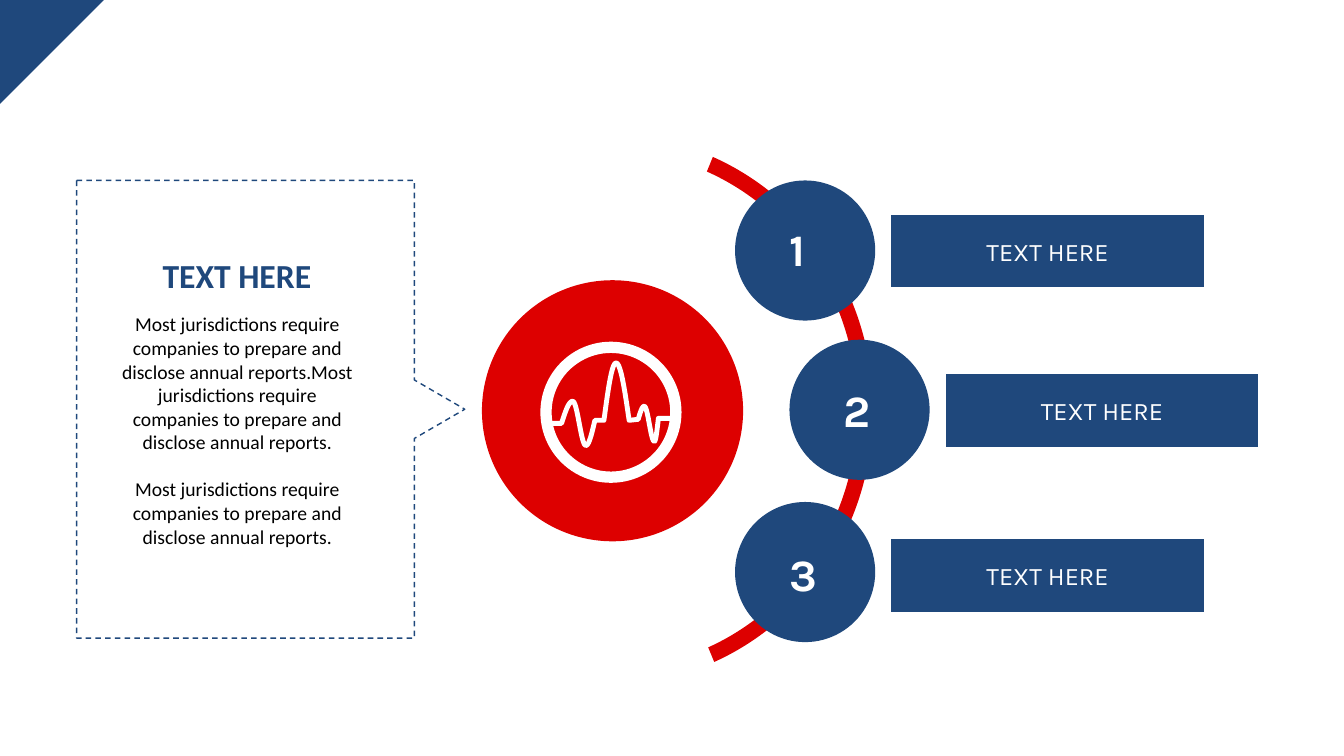
from math import cos, pi, sin

from lxml.etree import SubElement
from pptx import Presentation
from pptx.dml.color import RGBColor
from pptx.enum.dml import MSO_LINE
from pptx.enum.shapes import MSO_SHAPE as SHAPE
from pptx.enum.text import MSO_ANCHOR, MSO_AUTO_SIZE, PP_ALIGN
from pptx.oxml.ns import qn
from pptx.util import Inches, Pt

COLORS = {"blue": "1F487C", "red": "DD0000", "white": "FFFFFF", "black": "000000"}
SENTENCE = "Most jurisdictions require companies to prepare and disclose annual reports."
DISC = 1.39

# Each step: circle left, circle top, number top, label top
STEPS = [(7.29, 1.79, 2.15, 2.13), (7.83, 3.37, 3.75, 3.71), (7.29, 4.98, 5.37, 5.35)]

# Heartbeat: start point, then (x, y, easing) of each stroke's end
PULSE_START = (5.47, 4.2)
PULSE = [
    (5.57, 4.2, "flat"), (5.68, 3.98, "out"), (5.81, 4.42, "both"),
    (5.9, 4.17, "in"), (5.99, 4.17, "flat"), (6.11, 3.6, "out"),
    (6.24, 4.17, "in"), (6.33, 4.16, "flat"), (6.39, 4.03, "out"),
    (6.49, 4.38, "both"), (6.53, 4.15, "in"), (6.65, 4.15, "flat"),
]
EASING = {
    "flat": lambda t: t,
    "out": lambda t: sin(t * pi / 2),
    "in": lambda t: 1 - cos(t * pi / 2),
    "both": lambda t: (1 - cos(t * pi)) / 2,
}


def rgb(name):
    return RGBColor.from_string(COLORS[name])


def add_filled(slide, kind, box, color):
    sp = slide.shapes.add_shape(kind, *map(Inches, box))
    sp.shadow.inherit = False
    sp.fill.solid()
    sp.fill.fore_color.rgb = rgb(color)
    sp.line.fill.background()
    return sp


def add_outline(slide, points, color, width, close):
    points = [(Inches(x), Inches(y)) for x, y in points]
    builder = slide.shapes.build_freeform(*points[0])
    builder.add_line_segments(points[1:], close=close)
    sp = builder.convert_to_shape()
    sp.shadow.inherit = False
    sp.fill.background()
    sp.line.color.rgb = rgb(color)
    sp.line.width = Pt(width)
    return sp


def style(p, font, size, color, bold=False, align=PP_ALIGN.CENTER):
    p.alignment = align
    p.font.name, p.font.size, p.font.bold = font, Pt(size), bold
    p.font.color.rgb = rgb(color)


def add_text(slide, box, paragraphs, font, size, color, bold=False,
             align=PP_ALIGN.CENTER, wrap=True):
    tf = slide.shapes.add_textbox(*map(Inches, box)).text_frame
    tf.word_wrap = wrap
    tf.auto_size = MSO_AUTO_SIZE.SHAPE_TO_FIT_TEXT
    for i, text in enumerate(paragraphs):
        p = tf.paragraphs[0] if i == 0 else tf.add_paragraph()
        p.text = text
        style(p, font, size, color, bold, align)
        if i:
            p.space_before = Pt(17)


def add_callout(slide, left, top, width, height):
    """Dashed box with a pointer on its right side, and its text."""
    right, bottom, middle = left + width, top + height, top + height / 2
    points = [(left, top), (right, top), (right, middle - 0.29), (right + 0.5, middle),
              (right, middle + 0.29), (right, bottom), (left, bottom)]
    sp = add_outline(slide, points, "blue", 1, True)
    sp.line.dash_style = MSO_LINE.DASH
    add_text(slide, (left + 0.26, top + 1.26, 2.67, 2.46),
             [SENTENCE * 2, SENTENCE], "Calibri", 14, "black")
    add_text(slide, (left + 0.71, top + 0.69, 1.76, 0.5),
             ["TEXT HERE"], "Calibri", 24, "blue", True)


def add_hub(slide, left, top, size):
    """Red disc with a heartbeat icon, and the arc around it."""
    add_filled(slide, SHAPE.OVAL, (left, top, size, size), "red")
    arc = add_filled(slide, SHAPE.BLOCK_ARC,
                     (left - 1.34, top - 1.44, 5.22, 5.45), "red")
    for i, value in enumerate((175.28, 40.53, 0.03)):
        arc.adjustments[i] = value

    ring = add_filled(slide, SHAPE.DONUT, (left + 0.58, top + 0.61, 1.4, 1.4), "white")
    ring.adjustments[0] = 0.08
    points = [PULSE_START]
    for x, y, ease in PULSE:
        x0, y0 = points[-1]
        count = 1 if ease == "flat" else 10
        points += [(x0 + (x - x0) * k / count, y0 + (y - y0) * EASING[ease](k / count))
                   for k in range(1, count + 1)]
    pulse = add_outline(slide, points, "white", 3.5, False)
    SubElement(pulse.line._get_or_add_ln(), qn("a:round"))


def add_step(slide, number, left, top, number_top, label_top):
    """Numbered circle with its label bar."""
    add_filled(slide, SHAPE.OVAL, (left, top, DISC, DISC), "blue")
    add_text(slide, (left + 0.44, number_top, 0.49, 0.68), [str(number)],
             "Karla", 32, "white", True, PP_ALIGN.LEFT, False)
    bar = add_filled(slide, SHAPE.FLOWCHART_PROCESS,
                     (left + DISC + 0.16, label_top, 3.1, 0.72), "blue")
    tf = bar.text_frame
    tf.vertical_anchor = MSO_ANCHOR.MIDDLE
    p = tf.paragraphs[0]
    p.text = "TEXT HERE"
    style(p, "Karla", 18, "white")


def main():
    prs = Presentation()
    prs.slide_width, prs.slide_height = Inches(13.33), Inches(7.5)
    slide = prs.slides.add_slide(prs.slide_layouts[6])

    add_callout(slide, 0.76, 1.79, 3.35, 4.54)
    add_hub(slide, 4.78, 2.78, 2.59)
    for number, step in enumerate(STEPS, 1):
        add_step(slide, number, *step)

    # Corner triangle
    corner = add_filled(slide, SHAPE.RIGHT_TRIANGLE, (0, 0, 1.03, 1.03), "blue")
    corner.rotation = 90

    prs.save("out.pptx")


if __name__ == "__main__":
    main()
